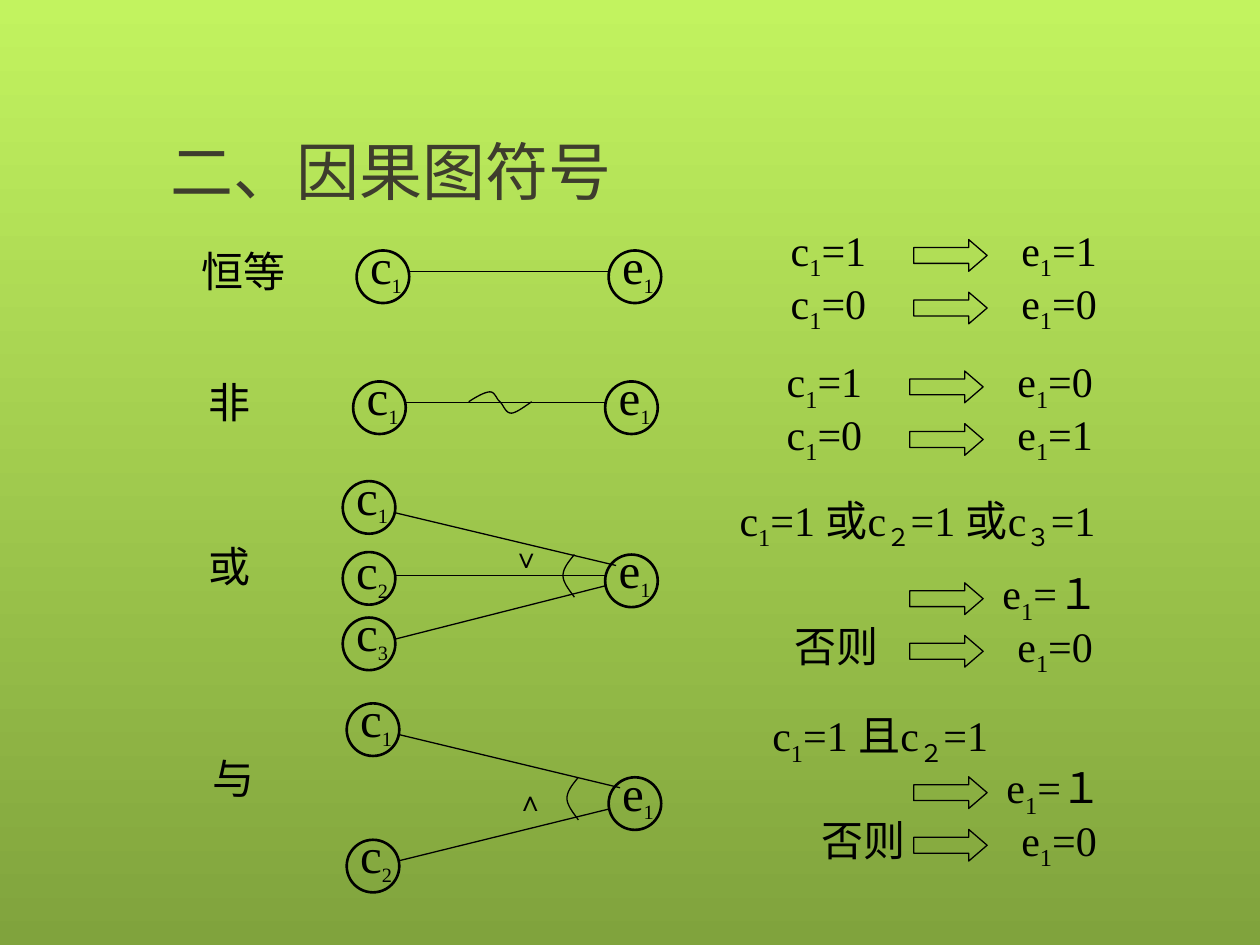
from lxml import etree
from pptx import Presentation
from pptx import util as u
from pptx.dml import color
from pptx.enum import shapes, text
from pptx.oxml import ns

HUES = {"top": "C2F35F", "base": "80A33D", "title": "3E3D2D", "ink": "000000"}
FONT = "Times New Roman"
DISC = 1.06   # node diameter
LIFT = 0.43   # how far text boxes start above their node or arrow
STEP = 1.06   # distance between result lines
SLACK = 0.08  # spare width that keeps each label on one line

# Lengths are centimetres; "_" marks the next character as a subscript
LABELS = [("恒等", 3.81, 4.83, 2.18), ("非", 3.96, 7.47, 1.35),
          ("或", 3.96, 10.77, 1.35), ("与", 4.04, 15.04, 1.35)]
NODES = [("c_1", 7.19, 5.05), ("e_1", 12.27, 5.05),
         ("c_1", 7.12, 7.69), ("e_1", 12.2, 7.69),
         ("c_1", 6.91, 9.7), ("c_2", 6.91, 11.13, 0.36), ("c_3", 6.91, 12.45),
         ("e_1", 12.2, 11.18),
         ("c_1", 6.99, 14.18), ("c_2", 6.99, 16.93), ("e_1", 12.27, 15.67)]
LINKS = [(8.26, 5.47, 12.27, 5.47), (8.18, 8.11, 12.2, 8.11),
         (7.98, 10.34, 12.42, 11.4), (7.98, 11.6, 12.2, 11.6),
         (7.98, 12.88, 12.2, 11.81),
         (8.05, 14.81, 12.5, 15.88), (8.05, 17.35, 12.27, 16.31)]
WAVE = [(9.45, 8.1), (9.6, 8), (9.78, 7.9), (9.88, 7.9),
        (9.98, 7.9), (10.01, 8.05), (10.08, 8.1),
        (10.16, 8.18), (10.19, 8.33), (10.31, 8.33),
        (10.41, 8.33), (10.64, 8.15), (10.72, 8.1)]
ARC = [(11.58, 11.18), (11.46, 11.33), (11.35, 11.46), (11.35, 11.61),
       (11.35, 11.76), (11.53, 11.96), (11.58, 12.04)]
# Arrow x, first arrow y, then (cause, effect) for each line
RULES = [(18.42, 4.83, [("c_1=1", "e_1=1"), ("c_1=0", "e_1=0")]),
         (18.34, 7.48, [("c_1=1", "e_1=0"), ("c_1=0", "e_1=1")]),
         (18.34, 11.75, [("", "e_1=１"), ("", "e_1=0")]),
         (18.42, 15.66, [("", "e_1=１"), ("", "e_1=0")])]
TERMS = [("c_1=1 或c_２=1 或c_３=1", 14.66, 9.84, 9.5, 1.42),
         ("c_1=1 且c_２=1", 15.32, 14.18, 5.66, 1.42),
         ("否则", 15.77, 12.38, 2.18, 1.27), ("否则", 16.31, 16.29, 2.18, 1.27)]
SIGNS = [("∨", 10.08, 10.77), ("∧", 10.16, 15.67)]


def hue(name):
    return color.RGBColor.from_string(HUES[name])


def frame(box):
    """Prepare a text frame that grows without wrapping."""
    body = box.text_frame
    body.word_wrap = False
    body.auto_size = text.MSO_AUTO_SIZE.SHAPE_TO_FIT_TEXT
    body.vertical_anchor = text.MSO_ANCHOR.TOP
    return body.paragraphs[0]


def style(para, size, name="ink", bold=None):
    font = para.font
    font.name, font.size, font.bold = FONT, u.Pt(size), bold
    font.color.rgb = hue(name)


def label(slide, words, x, y, w, h, size=24, sub=None, bold=None):
    box = slide.shapes.add_textbox(u.Cm(x), u.Cm(y), u.Cm(w + SLACK), u.Cm(h))
    para = frame(box)
    style(para, size, bold=bold)
    head, *rest = words.split("_")
    para.add_run().text = head
    for part in rest:
        low = para.add_run()
        low.text = part[0]
        low.font._element.set("baseline", "-25000")
        if sub:
            low.font.size = u.Pt(sub)
        if part[1:]:
            para.add_run().text = part[1:]


def outline(shape, width=0.75):
    shape.shadow.inherit = False
    shape.fill.background()
    shape.line.color.rgb = hue("ink")
    shape.line.width = u.Pt(width)


def node(slide, words, x, y, lift=LIFT):
    disc = slide.shapes.add_shape(shapes.MSO_SHAPE.OVAL, u.Cm(x), u.Cm(y),
                                  u.Cm(DISC), u.Cm(DISC))
    outline(disc, 1.5)
    label(slide, words, x + 0.02, y - lift, 1.14, 1.5, 28, 20)


def link(slide, *ends):
    line = slide.shapes.add_connector(shapes.MSO_CONNECTOR.STRAIGHT,
                                      *[u.Cm(n) for n in ends])
    line.line.color.rgb = hue("ink")
    line.line.width = u.Pt(0.75)
    etree.SubElement(line._element.spPr, ns.qn("a:effectLst"))


def curve(slide, knots, dx=0, dy=0, steps=10):
    """Trace joined cubic Bezier segments as a fine open outline."""
    spots = []
    for i in range(0, len(knots) - 1, 3):
        for k in range(1, steps + 1):
            t = k / steps
            mix = ((1 - t) ** 3, 3 * t * (1 - t) ** 2, 3 * t * t * (1 - t), t ** 3)
            x, y = (sum(m * p[axis] for m, p in zip(mix, knots[i:i + 4]))
                    for axis in (0, 1))
            spots.append((u.Cm(x + dx), u.Cm(y + dy)))
    x, y = knots[0]
    pen = slide.shapes.build_freeform(u.Cm(x + dx), u.Cm(y + dy))
    pen.add_line_segments(spots, close=False)
    outline(pen.convert_to_shape())


def rule(slide, x, y, cause, effect):
    """One line: cause, block arrow, effect."""
    arrow = slide.shapes.add_shape(shapes.MSO_SHAPE.RIGHT_ARROW, u.Cm(x), u.Cm(y),
                                   u.Cm(1.48), u.Cm(0.64))
    arrow.adjustments[1] = 0.58
    outline(arrow)
    if cause:
        label(slide, cause, x - 2.73, y - LIFT, 2.03, 1.42)
    gap, wide = (1.62, 2.64) if "１" in effect else (1.92, 2.03)
    label(slide, effect, x + gap, y - LIFT, wide, 1.42)


def title(slide, words):
    box = slide.shapes.title
    box.left, box.top, box.width, box.height = (
        u.Cm(n) for n in (3.18, 2.54, 9.4, 1.78))
    para = frame(box)
    para.text = words
    para.alignment = text.PP_ALIGN.LEFT
    style(para, 36, "title")


def main():
    deck = Presentation()
    deck.slide_width, deck.slide_height = u.Cm(25.4), u.Cm(19.05)
    slide = deck.slides.add_slide(deck.slide_layouts[5])

    # Background
    fill = slide.background.fill
    fill.gradient()
    fill.gradient_angle = 270
    for stop, name in zip(fill.gradient_stops, ("top", "base")):
        stop.color.rgb = hue(name)

    # Title and row names
    title(slide, "二、因果图符号")
    for words, x, y, w in LABELS:
        label(slide, words, x, y, w, 1.27)

    # Graphs
    for ends in LINKS:
        link(slide, *ends)
    for item in NODES:
        node(slide, *item)
    curve(slide, WAVE)
    curve(slide, ARC)
    curve(slide, ARC, 0.08, 4.49)
    for words, x, y in SIGNS:
        label(slide, words, x, y, 1.07, 0.94, 16, bold=True)

    # Meanings
    for x, y, lines in RULES:
        for i, (cause, effect) in enumerate(lines):
            rule(slide, x, y + i * STEP, cause, effect)
    for term in TERMS:
        label(slide, *term)

    deck.save("out.pptx")


if __name__ == "__main__":
    main()
